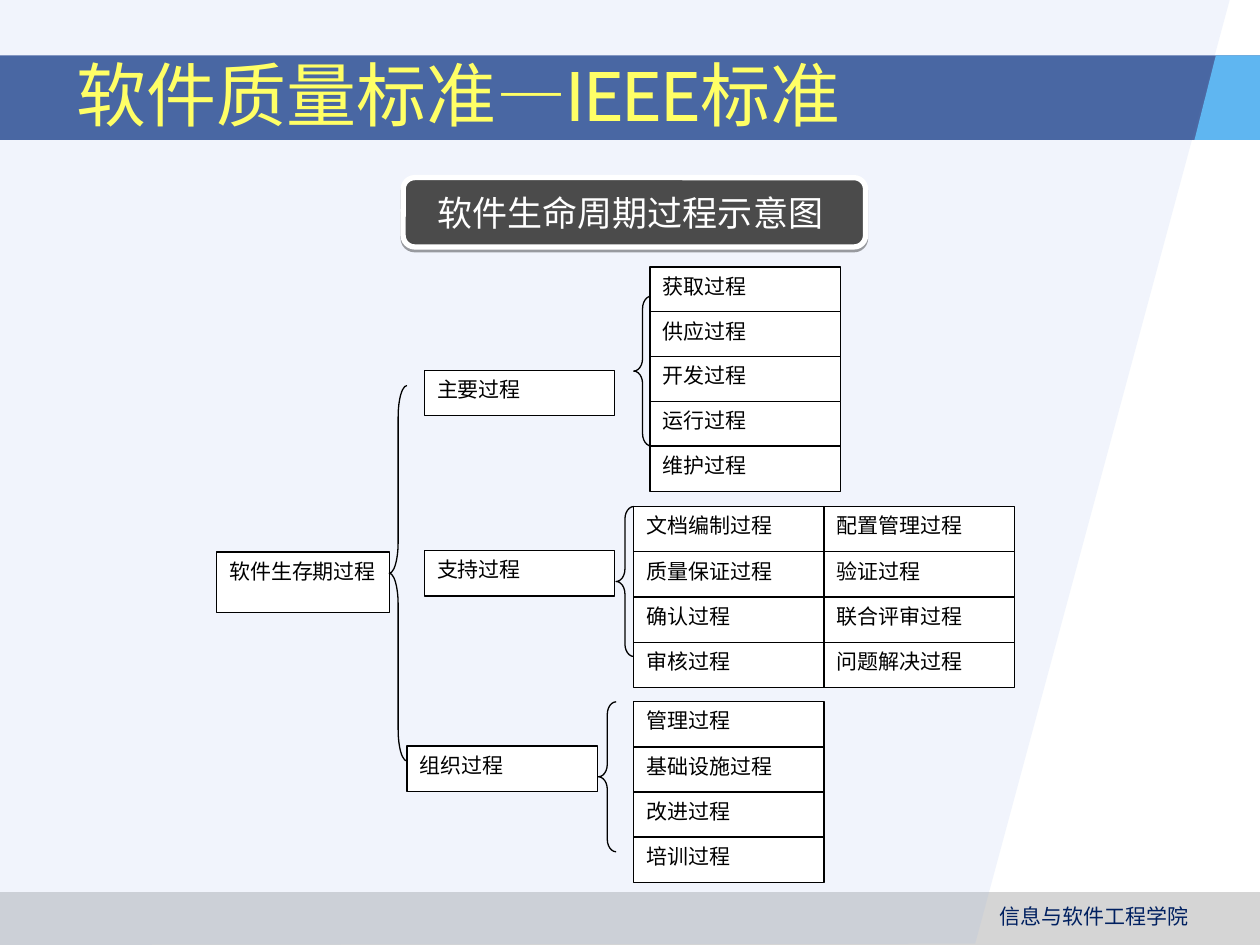
import pptx
import pptx.dml.color
import pptx.enum.shapes
import pptx.enum.text
import pptx.oxml
import pptx.oxml.ns
import pptx.util

SHAPE = pptx.enum.shapes.MSO_SHAPE
ALIGN = pptx.enum.text.PP_ALIGN
ANCHOR = pptx.enum.text.MSO_ANCHOR
FIT = pptx.enum.text.MSO_AUTO_SIZE
NAMESPACE = pptx.oxml.ns.nsdecls("a")

# Grid: 100 columns by 75 rows of equal pitch
COLUMNS, ROWS = 100, 75
BOX_WIDTH, BOX_HEIGHT = 15.1, 3.6
BRACE_WIDTH = 1.4


def colour(value):
    return pptx.dml.color.RGBColor.from_string(value)


class Painter:
    """Holds the style and the page being drawn."""

    asian_font = "Noto Sans CJK SC"
    label = {"size": pptx.util.Pt(12), "name": "Times New Roman"}
    heading = {"size": pptx.util.Pt(40), "name": "Cabin"}
    banner = {"size": pptx.util.Pt(20), "name": "Cabin"}
    footer = {"size": pptx.util.Pt(12), "name": "Noto Sans CJK SC"}

    def __init__(self, deck):
        self.page = deck.slides.add_slide(deck.slide_layouts[5])
        self.column = deck.slide_width / COLUMNS
        self.row = deck.slide_height / ROWS

    def place(self, left, top, width, height):
        return (round(left * self.column), round(top * self.row),
                round(width * self.column), round(height * self.row))

    def paint(self, shape, fill=None, line=None, weight=0.75, opacity=None):
        shape.shadow.inherit = False
        if fill:
            shape.fill.solid()
            shape.fill.fore_color.rgb = colour(fill)
        else:
            shape.fill.background()
        if opacity:
            tint = shape._element.spPr.find(".//" + pptx.oxml.ns.qn("a:srgbClr"))
            tint.append(pptx.oxml.parse_xml(
                f'<a:alpha {NAMESPACE} val="{opacity * 1000}"/>'))
        if line:
            shape.line.color.rgb = colour(line)
            shape.line.width = pptx.util.Pt(weight)
        else:
            shape.line.fill.background()

    def letter(self, shape, text, style, ink, align, **frame_format):
        frame = shape.text_frame
        for name, value in frame_format.items():
            setattr(frame, name, value)
        para = frame.paragraphs[0]
        para.alignment = align
        span = para.add_run()
        span.text = text
        for name, value in style.items():
            setattr(span.font, name, value)
        span.font.color.rgb = colour(ink)
        span.font._element.find(pptx.oxml.ns.qn("a:latin")).addnext(
            pptx.oxml.parse_xml(f'<a:ea {NAMESPACE} typeface="{self.asian_font}"/>'))

    def band(self, left, top, width, height, fill, opacity):
        shape = self.page.shapes.add_shape(
            SHAPE.RECTANGLE, *self.place(left, top, width, height))
        self.paint(shape, fill, opacity=opacity)

    def polygon(self, points, fill, opacity=None):
        corners = [(round(x * self.column), round(y * self.row)) for x, y in points]
        builder = self.page.shapes.build_freeform(*corners[0])
        builder.add_line_segments(corners[1:], close=True)
        self.paint(builder.convert_to_shape(), fill, opacity=opacity)

    def title(self, text, *area):
        box = self.page.shapes.title
        box.left, box.top, box.width, box.height = self.place(*area)
        self.letter(box, text, self.heading, "FFFF66", ALIGN.LEFT,
                    auto_size=FIT.NONE, vertical_anchor=ANCHOR.MIDDLE)
        self.page.shapes._spTree.append(box._element)  # in front of the bands

    def note(self, text, *area):
        box = self.page.shapes.add_textbox(*self.place(*area))
        self.letter(box, text, self.footer, "002060", ALIGN.RIGHT, word_wrap=False)

    def caption(self, text, *area):
        box = self.page.shapes.add_shape(SHAPE.ROUNDED_RECTANGLE, *self.place(*area))
        self.paint(box, "4B4B4B", "FFFFFF", 3)
        effects = box._element.spPr.find(pptx.oxml.ns.qn("a:effectLst"))
        effects.append(pptx.oxml.parse_xml(
            f'<a:outerShdw {NAMESPACE} blurRad="0" dist="20320" dir="5400000">'
            '<a:srgbClr val="000000"><a:alpha val="36000"/></a:srgbClr></a:outerShdw>'))
        self.letter(box, text, self.banner, "FFFFFF", ALIGN.CENTER,
                    vertical_anchor=ANCHOR.MIDDLE)

    def process(self, text, left, top, width=BOX_WIDTH, height=BOX_HEIGHT):
        box = self.page.shapes.add_shape(
            SHAPE.RECTANGLE, *self.place(left, top, width, height))
        self.paint(box, "FFFFFF", "000000")
        self.letter(box, text, self.label, "000000", ALIGN.JUSTIFY,
                    vertical_anchor=ANCHOR.TOP)

    def stack(self, texts, left, top, pitch):
        for index, text in enumerate(texts):
            self.process(text, left, top + index * pitch)

    def brace(self, left, top, height):
        shape = self.page.shapes.add_shape(
            SHAPE.LEFT_BRACE, *self.place(left, top, BRACE_WIDTH, height))
        shape.adjustments[0] = height / 12 / BRACE_WIDTH
        self.paint(shape, line="000000")


def main():
    deck = pptx.Presentation()
    deck.slide_width = pptx.util.Inches(10)
    deck.slide_height = pptx.util.Inches(7.5)
    painter = Painter(deck)

    # Background and footer
    painter.band(0, 70.8, 100, 4.2, "969696", 40)
    painter.polygon([(0, 0), (97.6, 0), (77.4, 74.9), (0, 75)], "94B1EC", 13)
    painter.band(0, 4.4, 100, 6.7, "173D89", 77)
    painter.polygon([(96.5, 4.4), (94.8, 11.1), (100, 11.1), (100, 4.4)], "5FB6F1")
    painter.note("信息与软件工程学院", 78.3, 71.2, 17, 3)

    # Title
    painter.title("软件质量标准—IEEE标准", 5.1, 3.1, 90, 8.7)

    # Root of the tree and its three branches
    painter.process("软件生存期过程", 17.2, 43.8, 13.7, 4.8)
    painter.brace(30.9, 30.6, 29.8)
    painter.process("主要过程", 33.7, 29.4)
    painter.process("支持过程", 33.7, 43.7)
    painter.process("组织过程", 32.3, 59.2)
    for left, top in [(50.3, 23.5), (48.9, 40.2), (47.5, 55.7)]:
        painter.brace(left, top, 11.9)

    # Leaf processes
    painter.stack(["获取过程", "供应过程", "开发过程", "运行过程", "维护过程"],
                  51.6, 21.2, 3.55)
    painter.stack(["文档编制过程", "质量保证过程", "确认过程", "审核过程"],
                  50.3, 40.2, 3.6)
    painter.stack(["配置管理过程", "验证过程", "联合评审过程", "问题解决过程"],
                  50.3 + BOX_WIDTH, 40.2, 3.6)
    painter.stack(["管理过程", "基础设施过程", "改进过程", "培训过程"],
                  50.3, 55.7, 3.58)

    # Diagram caption
    painter.caption("软件生命周期过程示意图 ", 32, 14.1, 36.7, 5.5)

    deck.save("out.pptx")


if __name__ == "__main__":
    main()
